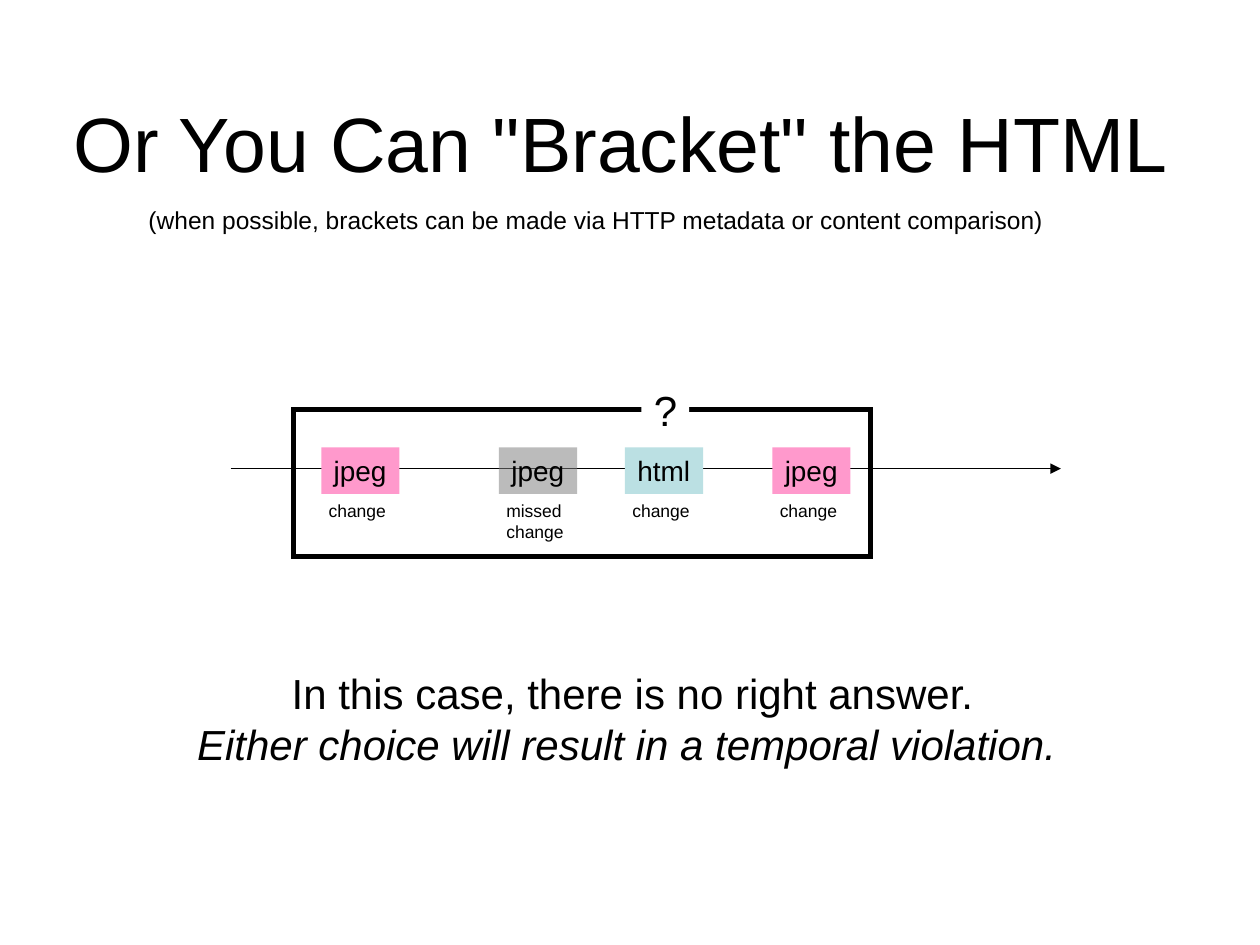
from dataclasses import dataclass

from lxml.etree import SubElement
from pptx import Presentation
from pptx.dml.color import RGBColor
from pptx.enum.shapes import MSO_CONNECTOR, MSO_SHAPE
from pptx.enum.text import MSO_ANCHOR, MSO_AUTO_SIZE, PP_ALIGN
from pptx.oxml.ns import qn
from pptx.shapes.autoshape import Shape
from pptx.slide import Slide
from pptx.util import Inches, Pt

COLORS = {
    "black": "000000",
    "white": "FFFFFF",
    "pink": "FF99CC",
    "teal": "BBE0E3",
    "gray": "808080",
}
FONT = "Arial"
TAG_TOP, TAG_WIDTH, TAG_HEIGHT = 3.55, 0.62, 0.37
CAPTION_TOP, CAPTION_WIDTH, CAPTION_SHIFT = 3.92, 0.68, -0.04


@dataclass(frozen=True)
class Box:
    left: float
    top: float
    width: float
    height: float


@dataclass(frozen=True)
class Event:
    left: float
    label: str
    caption: str
    color: str
    opacity: int = 100


EVENTS = [
    Event(2.55, "jpeg", "change", "pink"),
    Event(3.96, "jpeg", "missed\nchange", "gray", 53),
    Event(4.96, "html", "change", "teal"),
    Event(6.13, "jpeg", "change", "pink"),
]


def color(name: str) -> RGBColor:
    """Look up a named colour."""
    return RGBColor.from_string(COLORS[name])


def write(shape: Shape, text: str, size: int, align: PP_ALIGN = PP_ALIGN.LEFT) -> None:
    """Put unwrapped black text into a shape."""
    frame = shape.text_frame
    frame.text = text
    frame.word_wrap = False
    frame.auto_size = MSO_AUTO_SIZE.SHAPE_TO_FIT_TEXT
    frame.vertical_anchor = MSO_ANCHOR.TOP
    for paragraph in frame.paragraphs:
        paragraph.alignment = align
        for run in paragraph.runs:
            run.font.name = FONT
            run.font.size = Pt(size)
            run.font.color.rgb = color("black")


def add_rectangle(slide: Slide, box: Box) -> Shape:
    """Add a plain rectangle without shadow."""
    shape = slide.shapes.add_shape(
        MSO_SHAPE.RECTANGLE,
        Inches(box.left), Inches(box.top), Inches(box.width), Inches(box.height),
    )
    shape.shadow.inherit = False
    return shape


def add_tag(slide: Slide, box: Box, text: str, size: int, fill: str, opacity: int = 100) -> None:
    """Add a filled, borderless rectangle with a label."""
    shape = add_rectangle(slide, box)
    shape.fill.solid()
    shape.fill.fore_color.rgb = color(fill)
    shape.line.fill.background()
    if opacity < 100:
        srgb = next(shape.element.spPr.iter(qn("a:srgbClr")))
        SubElement(srgb, qn("a:alpha")).set("val", str(opacity * 1000))
    write(shape, text, size)


def add_text(slide: Slide, box: Box, text: str, size: int,
             align: PP_ALIGN = PP_ALIGN.LEFT) -> Shape:
    """Add a text box."""
    shape = slide.shapes.add_textbox(
        Inches(box.left), Inches(box.top), Inches(box.width), Inches(box.height)
    )
    write(shape, text, size, align)
    return shape


def add_timeline(slide: Slide, left: float, right: float, top: float) -> None:
    """Add the time arrow pointing right."""
    arrow = slide.shapes.add_connector(
        MSO_CONNECTOR.STRAIGHT, Inches(left), Inches(top), Inches(right), Inches(top)
    )
    arrow.line.color.rgb = color("black")
    arrow.line.width = Pt(0.75)
    line = arrow._element.spPr.find(qn("a:ln"))
    SubElement(line, qn("a:tailEnd")).set("type", "triangle")
    SubElement(arrow._element.spPr, qn("a:effectLst"))


def add_bracket(slide: Slide, box: Box) -> None:
    """Add the heavy, square-cornered outline around the events."""
    bracket = add_rectangle(slide, box)
    bracket.fill.background()
    bracket.line.color.rgb = color("black")
    bracket.line.width = Pt(3)
    line = bracket.element.spPr.find(qn("a:ln"))
    SubElement(line, qn("a:miter")).set("lim", "800000")


def main() -> None:
    """Build the bracketed timeline slide."""
    presentation = Presentation()
    presentation.slide_width = Inches(10)
    presentation.slide_height = Inches(7.5)
    slide = presentation.slides.add_slide(presentation.slide_layouts[6])

    add_timeline(slide, 1.83, 8.42, 3.72)
    for event in EVENTS:
        add_tag(slide, Box(event.left, TAG_TOP, TAG_WIDTH, TAG_HEIGHT),
                event.label, 16, event.color, event.opacity)
        caption_height = 0.27 + 0.17 * event.caption.count("\n")
        add_text(slide, Box(event.left + CAPTION_SHIFT, CAPTION_TOP, CAPTION_WIDTH,
                            caption_height), event.caption, 10)

    title = add_text(slide, Box(0.42, 0.5, 9.17, 1.25),
                     'Or You Can "Bracket" the HTML ', 44, PP_ALIGN.CENTER)
    title.text_frame.auto_size = MSO_AUTO_SIZE.NONE
    title.text_frame.word_wrap = True
    title.text_frame.vertical_anchor = MSO_ANCHOR.MIDDLE

    add_bracket(slide, Box(2.33, 3.25, 4.58, 1.17))
    add_text(slide, Box(1.08, 1.58, 7.31, 0.34),
             "(when possible, brackets can be made via HTTP metadata or content comparison)", 14)
    add_tag(slide, Box(5.09, 3, 0.38, 0.5), "?", 24, "white")
    conclusion = add_text(
        slide, Box(1.42, 5.25, 7.2, 0.9),
        "In this case, there is no right answer.\n"
        "Either choice will result in a temporal violation. ",
        24, PP_ALIGN.CENTER,
    )
    conclusion.text_frame.paragraphs[1].runs[0].font.italic = True

    presentation.save("out.pptx")


if __name__ == "__main__":
    main()
